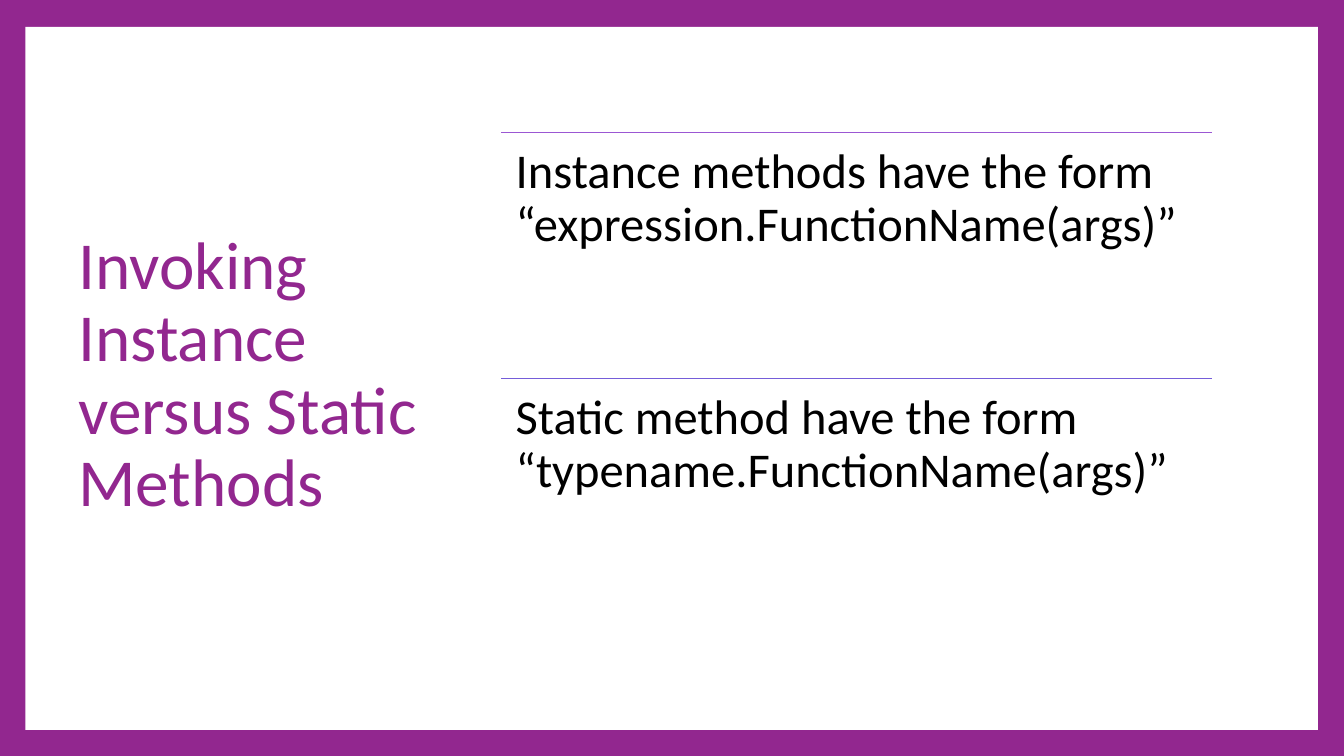
from lxml.etree import SubElement
from pptx import Presentation
from pptx.dml.color import RGBColor
from pptx.enum.shapes import MSO_CONNECTOR, MSO_SHAPE
from pptx.enum.text import MSO_ANCHOR, PP_ALIGN
from pptx.oxml.ns import qn
from pptx.util import Pt

PLUM = RGBColor(0x92, 0x27, 0x8F)
WHITE = RGBColor(0xFF, 0xFF, 0xFF)
BLACK = RGBColor(0, 0, 0)
VIOLET = RGBColor(0x9B, 0x57, 0xD3)
INDIGO = RGBColor(0x75, 0x5D, 0xD9)


class Deck:
    """Holds the style and the current slide."""
    font = "Calibri"
    spacing = 0.9

    def __init__(self, wide, high):
        self.prs = Presentation()
        self.prs.slide_width, self.prs.slide_height = Pt(wide), Pt(high)
        self.slide = self.prs.slides.add_slide(self.prs.slide_layouts[6])

    def back(self, color):
        fill = self.slide.background.fill
        fill.solid()
        fill.fore_color.rgb = color

    def panel(self, x, y, w, h, color):
        box = self.slide.shapes.add_shape(
            MSO_SHAPE.RECTANGLE, Pt(x), Pt(y), Pt(w), Pt(h))
        box.shadow.inherit = False
        box.fill.solid()
        box.fill.fore_color.rgb = color
        box.line.fill.background()

    def rule(self, x, y, w, color):
        line = self.slide.shapes.add_connector(
            MSO_CONNECTOR.STRAIGHT, Pt(x), Pt(y), Pt(x + w), Pt(y))
        line.line.color.rgb = color
        line.line.width = Pt(1.5)
        SubElement(line._element.spPr, qn("a:effectLst"))

    def text(self, x, y, w, h, words, size, color, pad, anchor=MSO_ANCHOR.TOP):
        box = self.slide.shapes.add_textbox(Pt(x), Pt(y), Pt(w), Pt(h))
        frame = box.text_frame
        frame.word_wrap = True
        frame.vertical_anchor = anchor
        frame.margin_left = frame.margin_right = Pt(pad)
        frame.margin_top = frame.margin_bottom = Pt(pad)
        para = frame.paragraphs[0]
        para.alignment = PP_ALIGN.LEFT
        para.line_spacing = self.spacing
        run = para.add_run()
        run.text = words
        run.font.name = self.font
        run.font.size = Pt(size)
        run.font.color.rgb = color


def main():
    deck = Deck(1440, 810)

    # Frame
    deck.back(PLUM)
    deck.panel(27.2, 28.8, 1384.8, 753.2, WHITE)

    # Title
    deck.text(77, 72, 397.5, 662.4, "Invoking Instance versus Static Methods",
              72, PLUM, 7.2, MSO_ANCHOR.MIDDLE)

    # Ruled list of method forms
    left, top, wide, step = 537, 141.8, 762, 263.5
    rows = [
        ("Instance methods have the form “expression.FunctionName(args)”", VIOLET),
        ("Static method have the form “typename.FunctionName(args)”", INDIGO),
    ]
    for i, (words, color) in enumerate(rows):
        y = top + i * step
        deck.rule(left, y, wide, color)
        deck.text(left, y, wide, step, words, 52, BLACK, 15.6)

    deck.prs.save("out.pptx")


if __name__ == "__main__":
    main()
